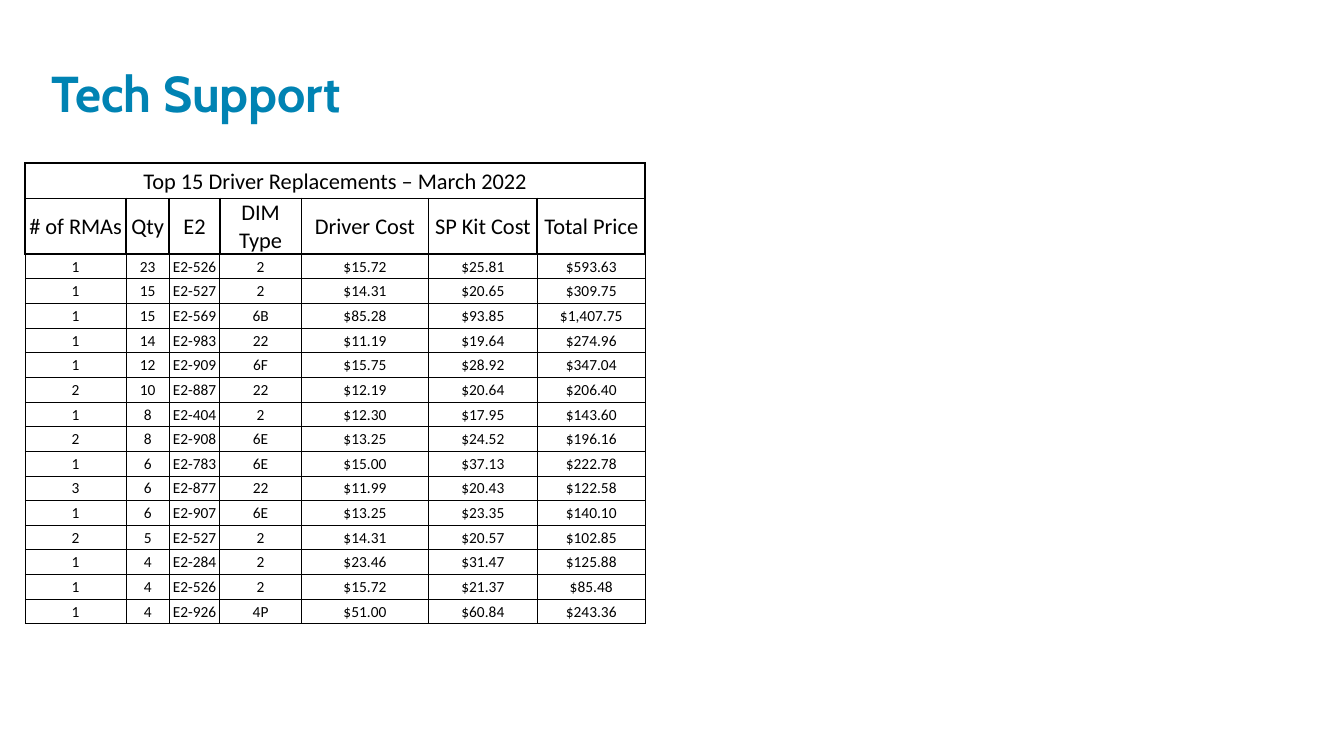
from dataclasses import dataclass

from lxml.etree import SubElement
from pptx import Presentation
from pptx.dml.color import RGBColor
from pptx.enum.text import MSO_ANCHOR, PP_ALIGN
from pptx.oxml.ns import qn
from pptx.util import Inches, Pt


@dataclass(frozen=True)
class Theme:
    title_color: str = "0083B3"
    ink: str = "000000"
    title_font: str = "Cabin"
    table_font: str = "Calibri"
    title_size: int = 36
    head_size: int = 16
    body_size: int = 11
    thick: float = 1.5
    thin: float = 0.5


THEME = Theme()

CAPTION = "Top 15 Driver Replacements – March 2022"
HEADERS = ("# of RMAs", "Qty", "E2", "DIM Type",
           "Driver Cost", "SP Kit Cost", "Total Price")
REPLACEMENTS = (
    ("1", "23", "E2-526", "2", "$15.72", "$25.81", "$593.63"),
    ("1", "15", "E2-527", "2", "$14.31", "$20.65", "$309.75"),
    ("1", "15", "E2-569", "6B", "$85.28", "$93.85", "$1,407.75"),
    ("1", "14", "E2-983", "22", "$11.19", "$19.64", "$274.96"),
    ("1", "12", "E2-909", "6F", "$15.75", "$28.92", "$347.04"),
    ("2", "10", "E2-887", "22", "$12.19", "$20.64", "$206.40"),
    ("1", "8", "E2-404", "2", "$12.30", "$17.95", "$143.60"),
    ("2", "8", "E2-908", "6E", "$13.25", "$24.52", "$196.16"),
    ("1", "6", "E2-783", "6E", "$15.00", "$37.13", "$222.78"),
    ("3", "6", "E2-877", "22", "$11.99", "$20.43", "$122.58"),
    ("1", "6", "E2-907", "6E", "$13.25", "$23.35", "$140.10"),
    ("2", "5", "E2-527", "2", "$14.31", "$20.57", "$102.85"),
    ("1", "4", "E2-284", "2", "$23.46", "$31.47", "$125.88"),
    ("1", "4", "E2-526", "2", "$15.72", "$21.37", "$85.48"),
    ("1", "4", "E2-926", "4P", "$51.00", "$60.84", "$243.36"),
)
COL_WIDTHS = (1, 0.43, 0.5, 0.81, 1.26, 1.08, 1.07)
CAPTION_HEIGHT, HEADER_HEIGHT, BODY_HEIGHT = 0.35, 0.55, 3.67


def style_font(p, name, size, color, bold=False):
    p.font.name = name
    p.font.size = Pt(size)
    p.font.bold = bold
    p.font.color.rgb = RGBColor.from_string(color)


def add_title(s, text):
    tf = s.shapes.add_textbox(Inches(0.41), Inches(0.17),
                              Inches(9.5), Inches(1.09)).text_frame
    tf.word_wrap = True
    tf.vertical_anchor = MSO_ANCHOR.BOTTOM
    p = tf.paragraphs[0]
    p.text = text
    p.line_spacing = 0.8
    style_font(p, THEME.title_font, THEME.title_size, THEME.title_color, bold=True)


def set_borders(cell, width, top):
    tc_pr = cell._tc.get_or_add_tcPr()
    for side, points in (("L", width), ("R", width), ("T", top), ("B", width)):
        ln = SubElement(tc_pr, qn(f"a:ln{side}"), w=str(Pt(points)))
        fill = SubElement(ln, qn("a:solidFill"))
        SubElement(fill, qn("a:srgbClr"), val=THEME.ink)


def style_cell(cell, text, size, width, top):
    cell.margin_left = cell.margin_right = cell.margin_top = Inches(0.01)
    cell.margin_bottom = 0
    cell.vertical_anchor = MSO_ANCHOR.MIDDLE
    set_borders(cell, width, top)
    cell.fill.background()
    p = cell.text_frame.paragraphs[0]
    p.text = text
    p.alignment = PP_ALIGN.CENTER
    style_font(p, THEME.table_font, size, THEME.ink)


def add_replacement_table(s):
    caption_row = (CAPTION,) + ("",) * (len(HEADERS) - 1)
    rows = (caption_row, HEADERS) + REPLACEMENTS
    body_row = BODY_HEIGHT / len(REPLACEMENTS)
    heights = [CAPTION_HEIGHT, HEADER_HEIGHT] + [body_row] * len(REPLACEMENTS)

    table = s.shapes.add_table(len(rows), len(HEADERS), Inches(0.25), Inches(1.62),
                               Inches(sum(COL_WIDTHS)), Inches(sum(heights))).table
    table.first_row = table.horz_banding = False
    for column, width in zip(table.columns, COL_WIDTHS):
        column.width = Inches(width)
    for row, height in zip(table.rows, heights):
        row.height = Inches(height)

    # Caption and headers are large with thick rules; the body is small with thin ones
    for i, values in enumerate(rows):
        size, width = ((THEME.head_size, THEME.thick) if i < 2
                       else (THEME.body_size, THEME.thin))
        top = THEME.thick if i <= 2 else THEME.thin
        for j, value in enumerate(values):
            style_cell(table.cell(i, j), value, size, width, top)
    table.cell(0, 0).merge(table.cell(0, len(HEADERS) - 1))


def main():
    prs = Presentation()
    prs.slide_width, prs.slide_height = Inches(13.33), Inches(7.5)
    s = prs.slides.add_slide(prs.slide_layouts[6])

    # Heading
    add_title(s, "Tech Support")
    # Driver replacement figures
    add_replacement_table(s)

    prs.save("out.pptx")


main()
